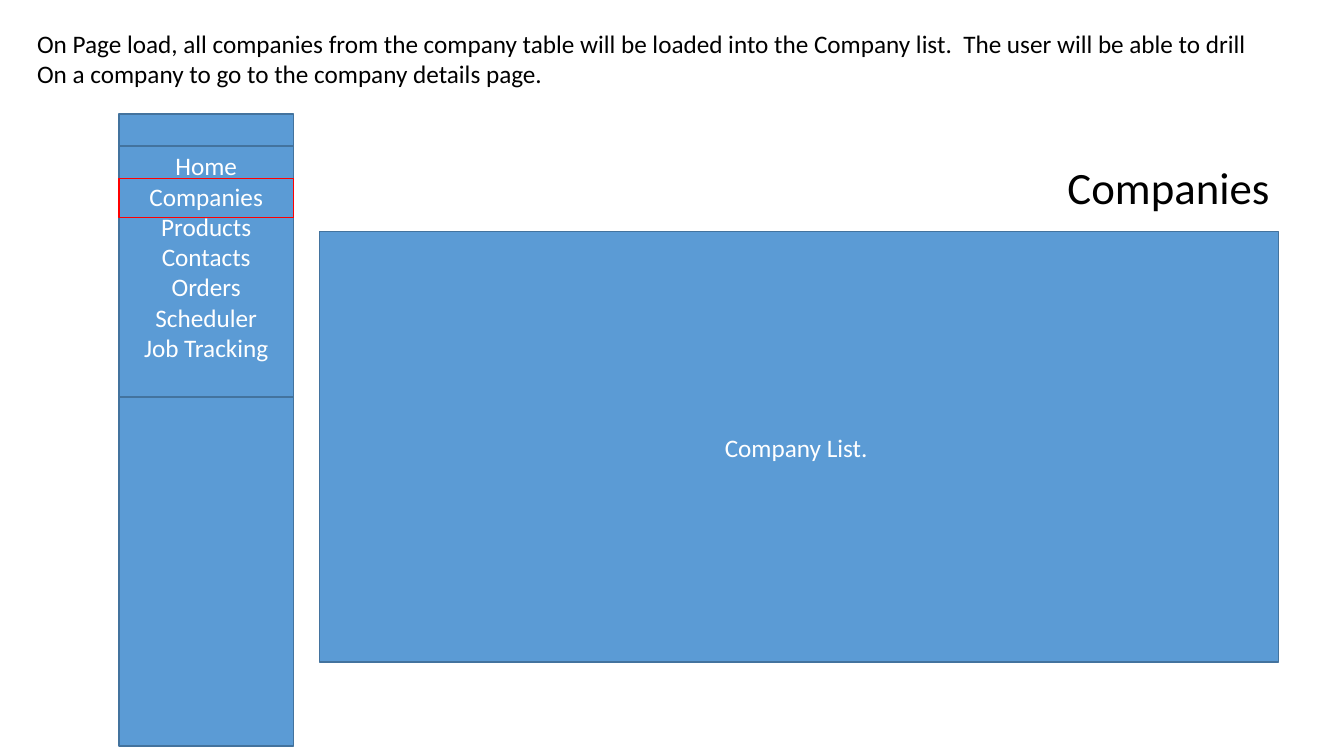
from pptx import Presentation
from pptx.dml.color import RGBColor
from pptx.enum.shapes import MSO_SHAPE as Kind
from pptx.enum.text import MSO_ANCHOR as Anchor, MSO_AUTO_SIZE as Fit, PP_ALIGN as Align
from pptx.util import Pt

BLUE, EDGE, RED = "5B9BD5", "43739E", "FF0000"
WHITE, BLACK = "FFFFFF", "000000"
MENU = ["Home", "Companies", "Products", "Contacts", "Orders", "Scheduler", "Job Tracking"]
NOTE = [
    "On Page load, all companies from the company table will be loaded into the Company list.  "
    "The user will be able to drill",
    "On a company to go to the company details page.",
]


def color(code):
    return RGBColor.from_string(code)


def write(shape, text, size, code, align, anchor):
    frame = shape.text_frame
    frame.text = text
    frame.word_wrap = True
    frame.auto_size = Fit.NONE
    frame.vertical_anchor = anchor
    for para in frame.paragraphs:
        para.alignment = align
        for run in para.runs:
            run.font.name = "Calibri"
            run.font.size = Pt(size)
            run.font.color.rgb = color(code)


def add_rect(slide, x, y, w, h, fill=BLUE, edge=EDGE):
    rect = slide.shapes.add_shape(Kind.RECTANGLE, Pt(x), Pt(y), Pt(w), Pt(h))
    rect.shadow.inherit = False
    if fill:
        rect.fill.solid()
        rect.fill.fore_color.rgb = color(fill)
    else:
        rect.fill.background()
    rect.line.color.rgb = color(edge)
    rect.line.width = Pt(1)
    return rect


def add_title(slide, x, y, w, h):
    title = slide.shapes.title
    title.left, title.top, title.width, title.height = Pt(x), Pt(y), Pt(w), Pt(h)
    write(title, "Companies", 32, BLACK, Align.LEFT, Anchor.TOP)


def add_note(slide, x, y, w, h):
    note = slide.shapes.add_textbox(Pt(x), Pt(y), Pt(w), Pt(h))
    write(note, "\n".join(NOTE), 18, BLACK, Align.LEFT, Anchor.TOP)


def add_menu(slide, x, y, w, h):
    add_rect(slide, x, y, w, h)
    items = add_rect(slide, x, y + 23, w, 179.3)
    write(items, "\n".join(MENU), 18, WHITE, Align.CENTER, Anchor.MIDDLE)
    items.text_frame.margin_bottom = Pt(25.2)


def add_list(slide, x, y, w, h):
    area = add_rect(slide, x, y, w, h)
    write(area, "Company List. ", 18, WHITE, Align.CENTER, Anchor.MIDDLE)


def add_mark(slide, x, y, w, h):
    add_rect(slide, x, y, w, h, None, RED)


def main():
    deck = Presentation()
    deck.slide_width, deck.slide_height = Pt(960), Pt(540)
    slide = deck.slides.add_slide(deck.slide_layouts[5])
    add_menu(slide, 85, 81.4, 124.6, 451.4)
    add_list(slide, 228.4, 165.6, 684.7, 307.4)
    add_mark(slide, 85, 127.6, 124.6, 28)
    add_title(slide, 755.3, 110.2, 167.8, 46)
    add_note(slide, 19.4, 16.6, 893.5, 51)
    deck.save("out.pptx")


if __name__ == "__main__":
    main()
